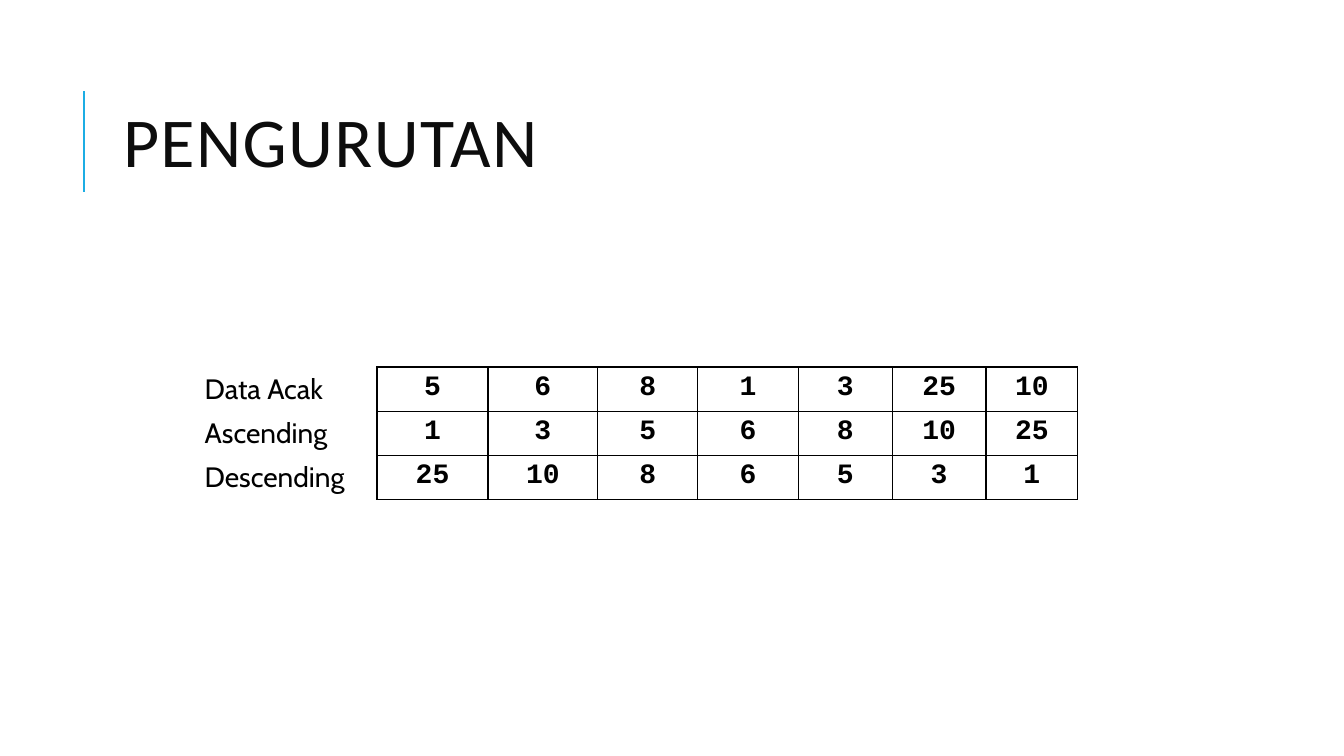
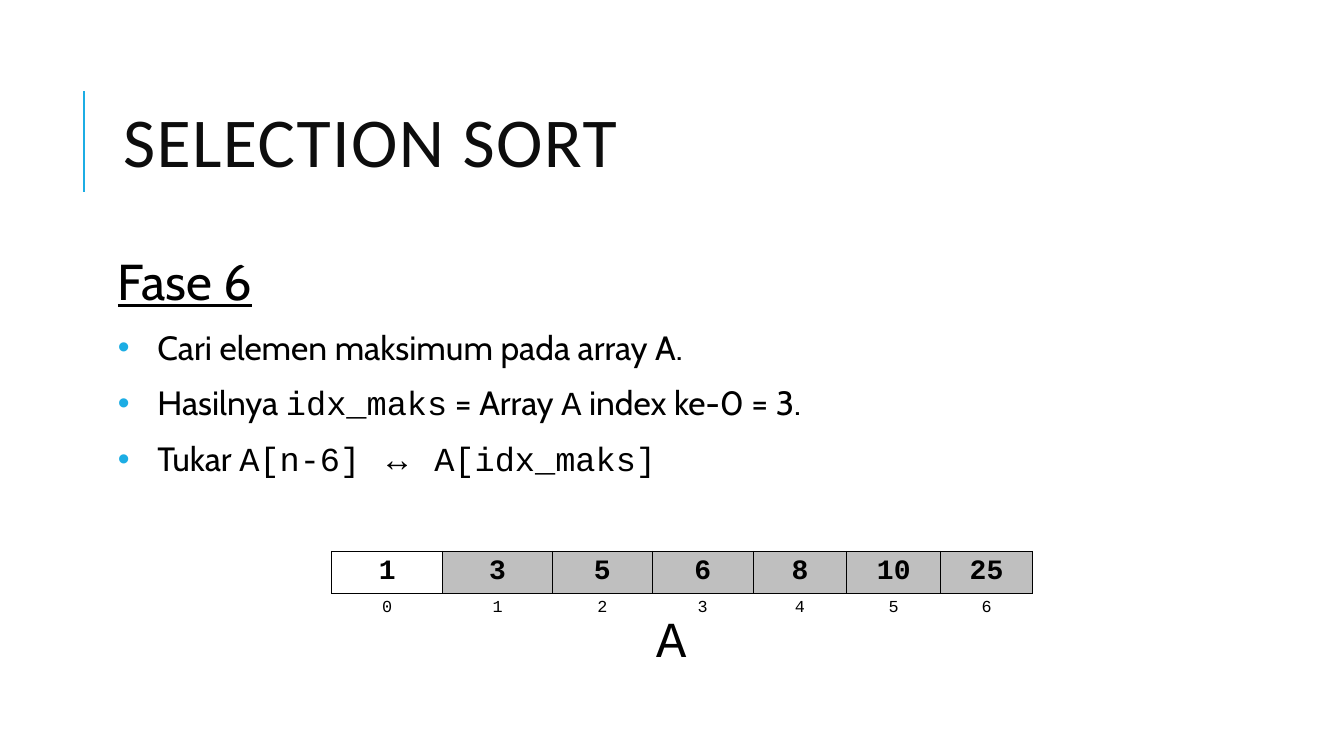
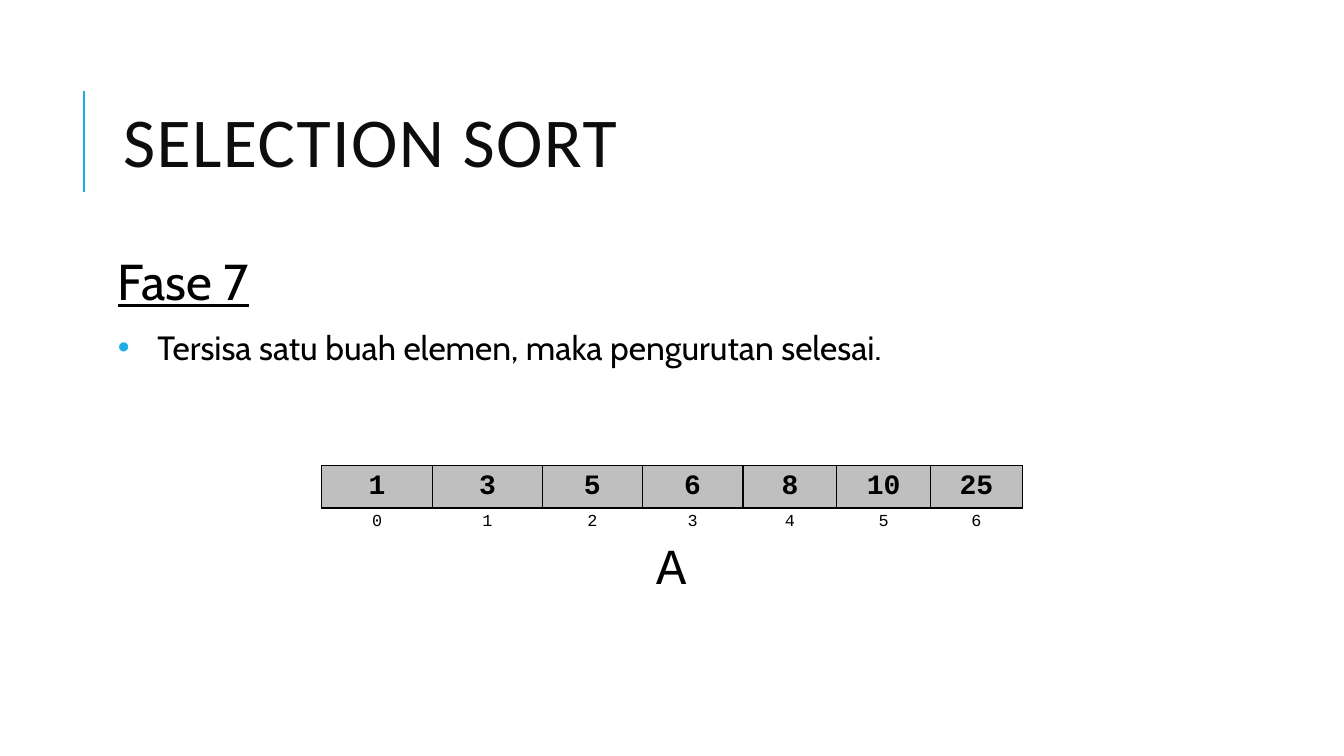
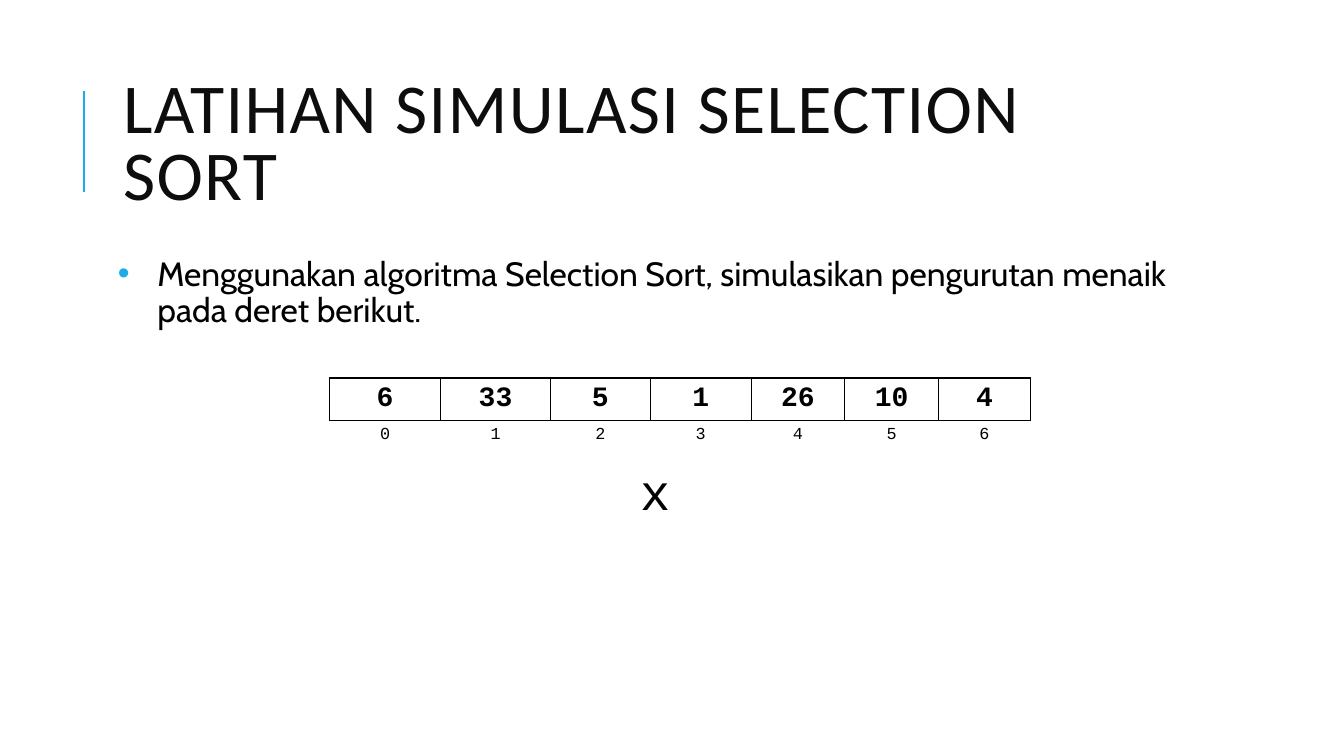
from lxml.etree import SubElement
from pptx import Presentation
from pptx.dml.color import RGBColor
from pptx.enum.shapes import MSO_CONNECTOR
from pptx.enum.text import MSO_ANCHOR, MSO_AUTO_SIZE, PP_ALIGN
from pptx.oxml.ns import qn
from pptx.util import Inches, Pt

BLACK, TITLE_INK, ACCENT, GREY = "000000", "0D0D0D", "1CADE4", "BFBFBF"
SANS, HEADING, MONO, SYMBOL = "Cabin", "Calibri", "Courier New", "Times New Roman"
COLS, ROWS = 133.3, 75
TITLE_BOX = (11.2, 6.4, 106.3, 16.4)
BODY_BOX = (11.2, 25, 106.3, 27.5)
VALUE_COLS = [11, 10.9, 9.9, 10, 9.3, 9.3, 9.1]
LABEL_COL, ROW = 18.1, 4.2
PLAIN_TABLE = "{2D5ABB26-0587-4C30-8999-92F81FD0307C}"


def grid(*units):
    """Turn grid columns or rows, ten to the inch, into lengths."""
    return [Inches(u / 10) for u in units]


def rgb(color):
    """Turn a hex string into a colour."""
    return RGBColor.from_string(color)


def place(sp, box):
    """Move a shape to a grid box."""
    sp.left, sp.top, sp.width, sp.height = grid(*box)


def add_text(p, text, font=SANS, size=24, color=BLACK, bold=False, underline=False, spacing=0):
    """Append a formatted run to a paragraph."""
    r = p.add_run()
    r.text = text
    f = r.font
    f.name, f.size, f.bold, f.underline = font, Pt(size), bold, underline
    f.color.rgb = rgb(color)
    if spacing:
        r._r.get_or_add_rPr().set("spc", str(spacing * 100))


def set_spacing(p, before, after, line=None):
    """Set the paragraph's space before, after and between lines."""
    p.space_before, p.space_after = Pt(before), Pt(after)
    if line:
        p.line_spacing = line


def set_bullet(p, shown):
    """Give a paragraph an accent bullet with hanging indent, or none."""
    pPr = p._p.get_or_add_pPr()
    indent = Inches(0.39) if shown else 0
    pPr.set("marL", str(indent))
    pPr.set("indent", str(-indent))
    if shown:
        SubElement(SubElement(pPr, qn("a:buClr")), qn("a:srgbClr"), val=ACCENT)
        SubElement(pPr, qn("a:buFont"), typeface="Arial")
        SubElement(pPr, qn("a:buChar"), char="•")
    else:
        SubElement(pPr, qn("a:buNone"))


def set_borders(cell, sides):
    """Draw black one-point borders on the named sides of a cell."""
    tcPr = cell._tc.get_or_add_tcPr()
    for i, side in enumerate(s for s in "LRTB" if s in sides):
        ln = SubElement(tcPr, qn("a:ln" + side), w=str(Pt(1)))
        SubElement(SubElement(ln, qn("a:solidFill")), qn("a:srgbClr"), val=BLACK)
        tcPr.insert(i, ln)


def setup_master(prs):
    """Lay out the shared title, body and accent line on the master."""
    master = prs.slide_master
    title, body = list(master.placeholders)[:2]
    for sp, box, anchor in ((title, TITLE_BOX, MSO_ANCHOR.MIDDLE), (body, BODY_BOX, MSO_ANCHOR.TOP)):
        place(sp, box)
        sp.text_frame.auto_size = MSO_AUTO_SIZE.NONE
        sp.text_frame.vertical_anchor = anchor
    tf = body.text_frame
    tf.margin_left = tf.margin_right = tf.margin_top = tf.margin_bottom = Inches(0.05)


def add_accent_line(prs, slide):
    """Draw the accent line once and move it to the master."""
    line = slide.shapes.add_connector(MSO_CONNECTOR.STRAIGHT, *grid(8.3, 19, 8.3, 9))
    line.line.color.rgb = rgb(ACCENT)
    line.line.width = Pt(1.5)
    SubElement(line.element.spPr, qn("a:effectLst"))
    prs.slide_master.shapes.element.append(line.element)


def add_slide(prs, title, layout=1):
    """Add a slide with its title."""
    slide = prs.slides.add_slide(prs.slide_layouts[layout])
    p = slide.shapes.title.text_frame.paragraphs[0]
    p.alignment = PP_ALIGN.LEFT
    p.line_spacing = 0.8
    add_text(p, title, font=HEADING, size=50, color=TITLE_INK, spacing=1)
    return slide


def add_body(slide, items, heading=None, box=BODY_BOX):
    """Fill the body with an underlined heading and bullets of (text, font) runs."""
    sp = slide.placeholders[1]
    place(sp, box)
    tf = sp.text_frame
    lines = ([[(heading, SANS)]] if heading else []) + items
    for i, runs in enumerate(lines):
        p = tf.add_paragraph() if i else tf.paragraphs[0]
        is_heading = bool(heading) and i == 0
        set_spacing(p, 12, 2, 0.9)
        set_bullet(p, not is_heading)
        for text, font in runs:
            add_text(p, text, font=font, size=36 if is_heading else 24, underline=is_heading)


def add_table(slide, left, top, widths, rows, style):
    """Build a table; style(row, column) gives borders, fill, alignment and font."""
    box = (left, top, sum(widths), ROW * len(rows))
    frame = slide.shapes.add_table(len(rows), len(widths), *grid(*box))
    frame.element.find(".//" + qn("a:tableStyleId")).text = PLAIN_TABLE
    table = frame.table
    table.first_row = table.horz_banding = False
    for col, width in zip(table.columns, grid(*widths)):
        col.width = width
    for r, values in enumerate(rows):
        for c, value in enumerate(values):
            sides, fill, align, fmt = style(r, c)
            cell = table.cell(r, c)
            if fill:
                cell.fill.solid()
                cell.fill.fore_color.rgb = rgb(fill)
            else:
                cell.fill.background()
            set_borders(cell, sides)
            p = cell.text_frame.paragraphs[0]
            p.alignment = align
            set_spacing(p, 5, 5)
            add_text(p, str(value), **fmt)


def add_comparison(slide, left, top, named_rows):
    """Place a table of labelled number rows."""
    def style(r, c):
        """Leave the label column open and box the numbers."""
        if c == 0:
            return "R", None, PP_ALIGN.LEFT, dict(size=20)
        return "LRTB", None, PP_ALIGN.CENTER, dict(font=MONO, size=20, bold=True)

    rows = [[name, *values] for name, values in named_rows]
    add_table(slide, left, top, [LABEL_COL, *VALUE_COLS], rows, style)


def add_array(slide, left, top, values, name, name_at, sorted_from):
    """Place an array with its indexes, and its name at an offset from the corner."""
    def style(r, c):
        """Box the values, shade the sorted ones, leave the indexes open."""
        if r == 0:
            fill = GREY if c >= sorted_from else None
            return "LRTB", fill, PP_ALIGN.CENTER, dict(font=MONO, size=20, bold=True)
        return "T", None, PP_ALIGN.CENTER, dict(font=MONO, size=12)

    add_table(slide, left, top, VALUE_COLS, [values, range(len(values))], style)
    dx, dy = name_at
    tf = slide.shapes.add_textbox(*grid(left + dx, top + dy, 5.1, 7.1)).text_frame
    tf.word_wrap = False
    tf.auto_size = MSO_AUTO_SIZE.SHAPE_TO_FIT_TEXT
    add_text(tf.paragraphs[0], name, font=MONO, size=36)


def main():
    """Build and save the four slides."""
    prs = Presentation()
    prs.slide_width, prs.slide_height = grid(COLS, ROWS)
    setup_master(prs)
    ordered = [1, 3, 5, 6, 8, 10, 25]

    slide = add_slide(prs, "PENGURUTAN", layout=5)
    add_accent_line(prs, slide)
    add_comparison(slide, 19.3, 36.4, [
        ("Data Acak", [5, 6, 8, 1, 3, 25, 10]),
        ("Ascending", ordered),
        ("Descending", ordered[::-1]),
    ])

    slide = add_slide(prs, "SELECTION SORT")
    add_body(slide, [
        [("Cari elemen maksimum pada array A.", SANS)],
        [("Hasilnya ", SANS), ("idx_maks", MONO), (" = Array ", SANS), ("A", MONO),
         (" index ke-0 = 3.", SANS)],
        [("Tukar ", SANS), ("A[n-6] ", MONO), ("↔", SYMBOL), (" A[idx_maks]", MONO)],
    ], heading="Fase 6")
    add_array(slide, 32.9, 54.7, ordered, "A", (31.2, 5), sorted_from=1)

    slide = add_slide(prs, "SELECTION SORT")
    add_body(slide, [[("Tersisa satu buah elemen, maka pengurutan selesai.", SANS)]],
             heading="Fase 7")
    add_array(slide, 31.9, 46.2, ordered, "A", (32.2, 6.3), sorted_from=0)

    slide = add_slide(prs, "LATIHAN SIMULASI SELECTION SORT")
    add_body(slide, [[("Menggunakan algoritma Selection Sort, simulasikan pengurutan menaik "
                       "pada deret berikut.", SANS)]], box=(*BODY_BOX[:3], 18))
    values = [6, 33, 5, 1, 26, 10, 4]
    add_array(slide, 32.7, 37.5, values, "x", (29.8, 7.7), sorted_from=len(values))

    prs.save("out.pptx")


if __name__ == "__main__":
    main()
